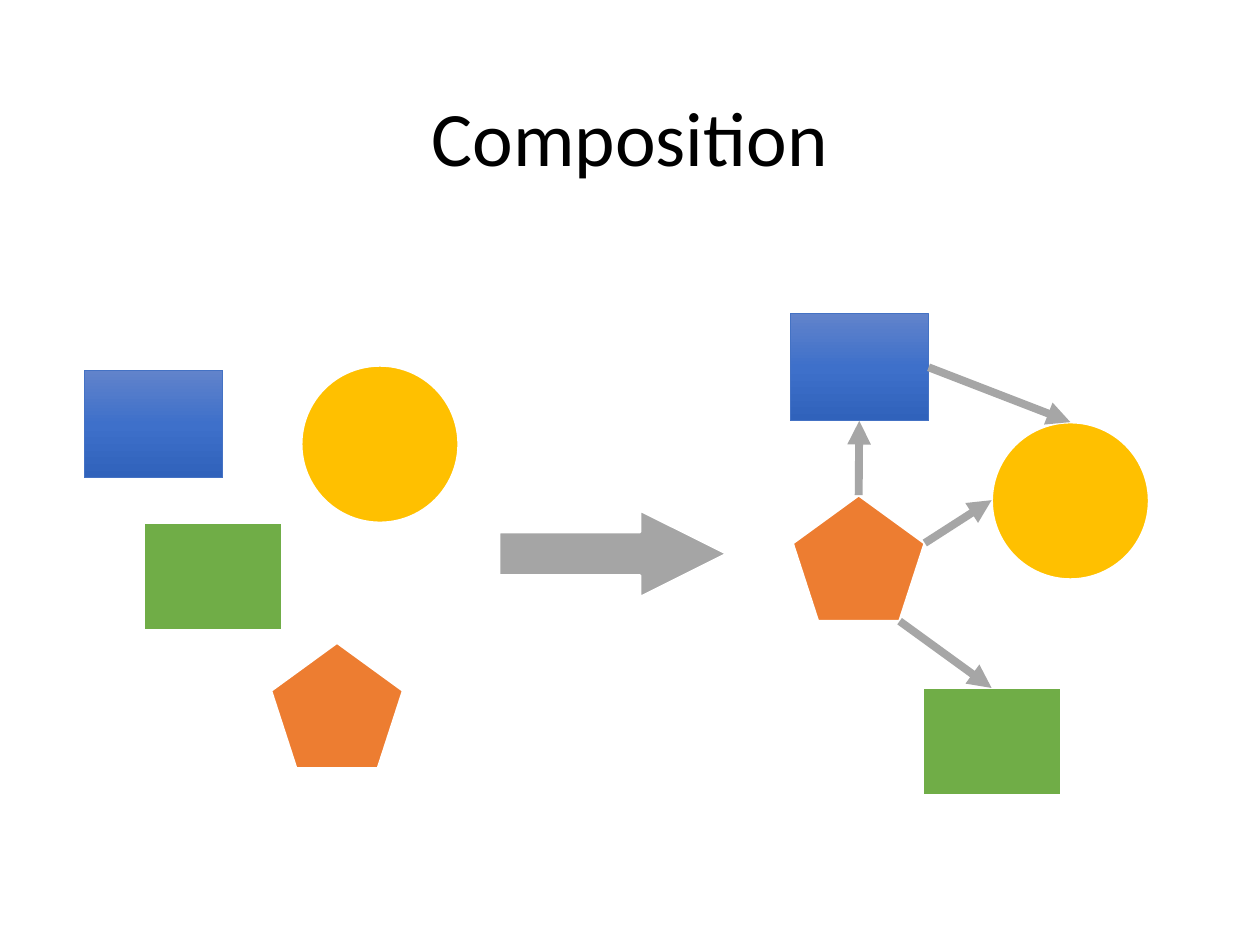
from copy import deepcopy

from pptx import Presentation
from pptx.dml.color import RGBColor
from pptx.enum.shapes import MSO_CONNECTOR, MSO_SHAPE
from pptx.enum.text import MSO_ANCHOR, PP_ALIGN
from pptx.oxml.ns import qn
from pptx.util import Inches, Pt
from lxml.etree import SubElement


def color(hex_text):
    return RGBColor.from_string(hex_text)


def add_part(kind, left, top, width, height, fill, line, line_width):
    part = page.shapes.add_shape(
        kind, Inches(left), Inches(top), Inches(width), Inches(height))
    part.shadow.inherit = False
    part.line.color.rgb = color(line)
    part.line.width = Pt(line_width)
    if isinstance(fill, str):
        part.fill.solid()
        part.fill.fore_color.rgb = color(fill)
        return part
    # The default gradient has two stops; a third goes between them
    part.fill.gradient()
    part.fill.gradient_angle = 270
    stops = part._element.spPr.find(".//" + qn("a:gsLst"))
    stops.insert(1, deepcopy(stops[0]))
    for stop, position, shade in zip(part.fill.gradient_stops, (0, 0.5, 1), fill):
        stop.position = position
        stop.color.rgb = color(shade)
    return part


deck = Presentation()
deck.slide_width, deck.slide_height = Inches(10), Inches(7.5)
page = deck.slides.add_slide(deck.slide_layouts[5])

# Title
title = page.shapes.title
title_place = {"left": 0.69, "top": 0.4, "width": 8.62, "height": 1.45}
for name, value in title_place.items():
    setattr(title, name, Inches(value))
title.text_frame.text = "Composition"
title.text_frame.vertical_anchor = MSO_ANCHOR.MIDDLE
para = title.text_frame.paragraphs[0]
para.alignment = PP_ALIGN.CENTER
para.line_spacing = 0.9
font = para.runs[0].font
for name, value in {"name": "Calibri", "size": Pt(44)}.items():
    setattr(font, name, value)
font.color.rgb = color("000000")

# Four components: kind, width, height, fill, line, line width
components = {
    "blue": (MSO_SHAPE.RECTANGLE, 1.1, 0.85, ("6183CB", "3E70CA", "3062BB"), "4472C4", 0.5),
    "green": (MSO_SHAPE.RECTANGLE, 1.1, 0.85, "70AD47", "FFFFFF", 1.5),
    "circle": (MSO_SHAPE.OVAL, 1.25, 1.25, "FFC000", "FFFFFF", 1.5),
    "pentagon": (MSO_SHAPE.REGULAR_PENTAGON, 1.05, 1, "ED7D31", "FFFFFF", 1.5),
}

# The same components, loose on the left and composed on the right
loose = {"blue": (0.67, 2.94), "green": (1.14, 4.15),
         "circle": (2.39, 2.9), "pentagon": (2.15, 5.1)}
composed = {"blue": (6.27, 2.49), "green": (7.32, 5.46),
            "circle": (7.87, 3.35), "pentagon": (6.29, 3.93)}
parts = {}
for layout in (loose, composed):
    for name, (left, top) in layout.items():
        kind, *style = components[name]
        parts[name] = add_part(kind, left, top, *style)

# Links between the composed parts: start, end, joined start, joined end
TOP, BOTTOM, RIGHT = 0, 2, 3
links = [
    ((6.82, 3.93), (6.82, 3.34), ("pentagon", TOP), ("blue", BOTTOM)),
    ((7.34, 4.31), (7.87, 3.97), None, None),
    ((7.14, 4.93), (7.87, 5.46), None, ("green", TOP)),
    ((7.37, 2.91), (8.49, 3.35), ("blue", RIGHT), ("circle", TOP)),
]
for start, end, source, target in links:
    link = page.shapes.add_connector(
        MSO_CONNECTOR.STRAIGHT, *(Inches(value) for value in start + end))
    if source:
        link.begin_connect(parts[source[0]], source[1])
    if target:
        link.end_connect(parts[target[0]], target[1])
    link.line.color.rgb = color("A6A6A6")
    link.line.width = Pt(4.5)
    SubElement(link.line._get_or_add_ln(), qn("a:tailEnd"), type="triangle")
    SubElement(link._element.spPr, qn("a:effectLst"))

# Arrow from loose to composed
arrow = add_part(MSO_SHAPE.RIGHT_ARROW, 3.96, 4.05, 1.81, 0.69, "A5A5A5", "FFFFFF", 1.5)
arrow.adjustments[1] = 1

deck.save("out.pptx")
